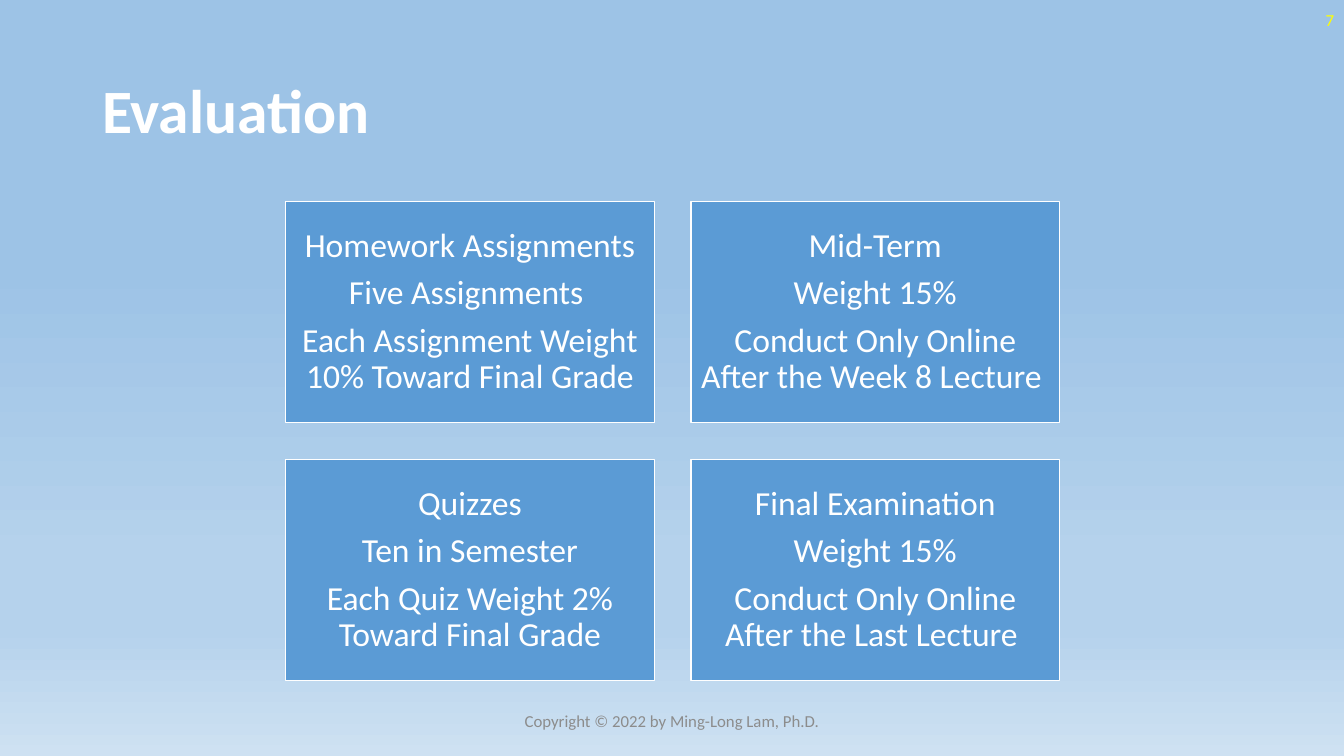
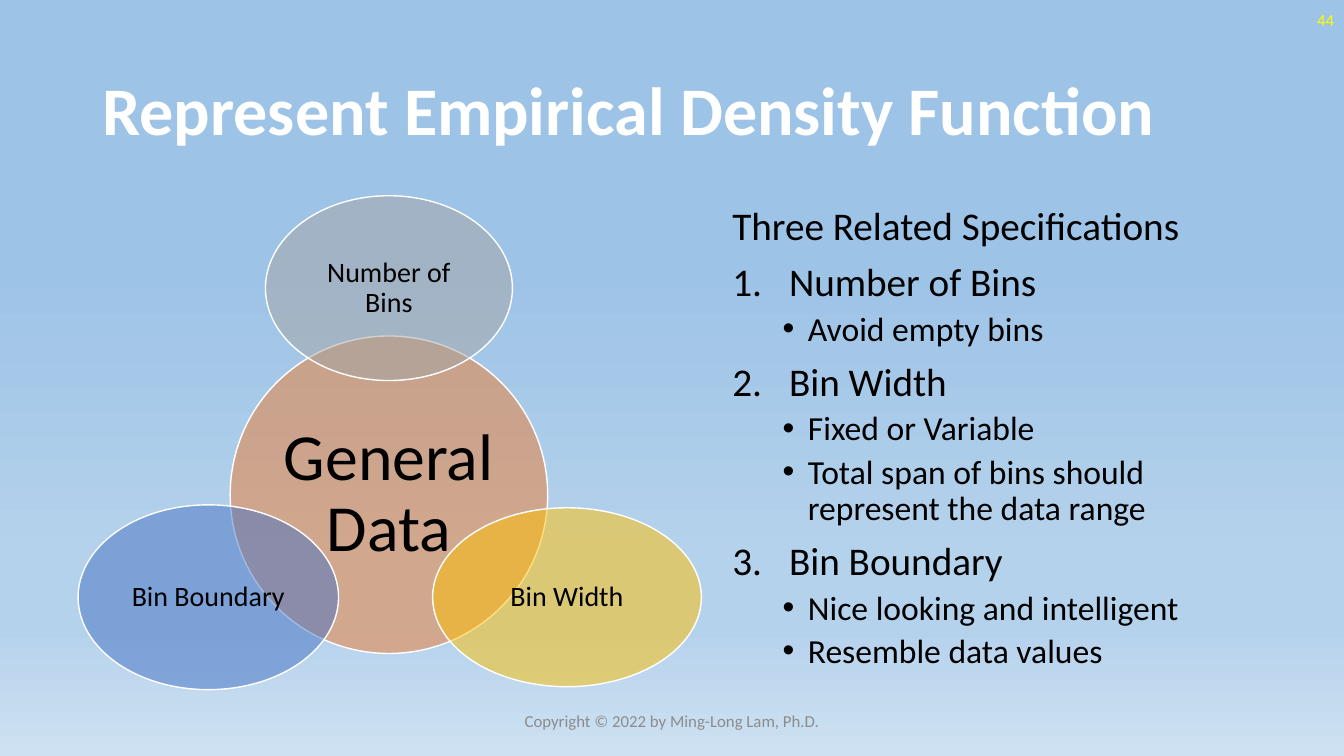
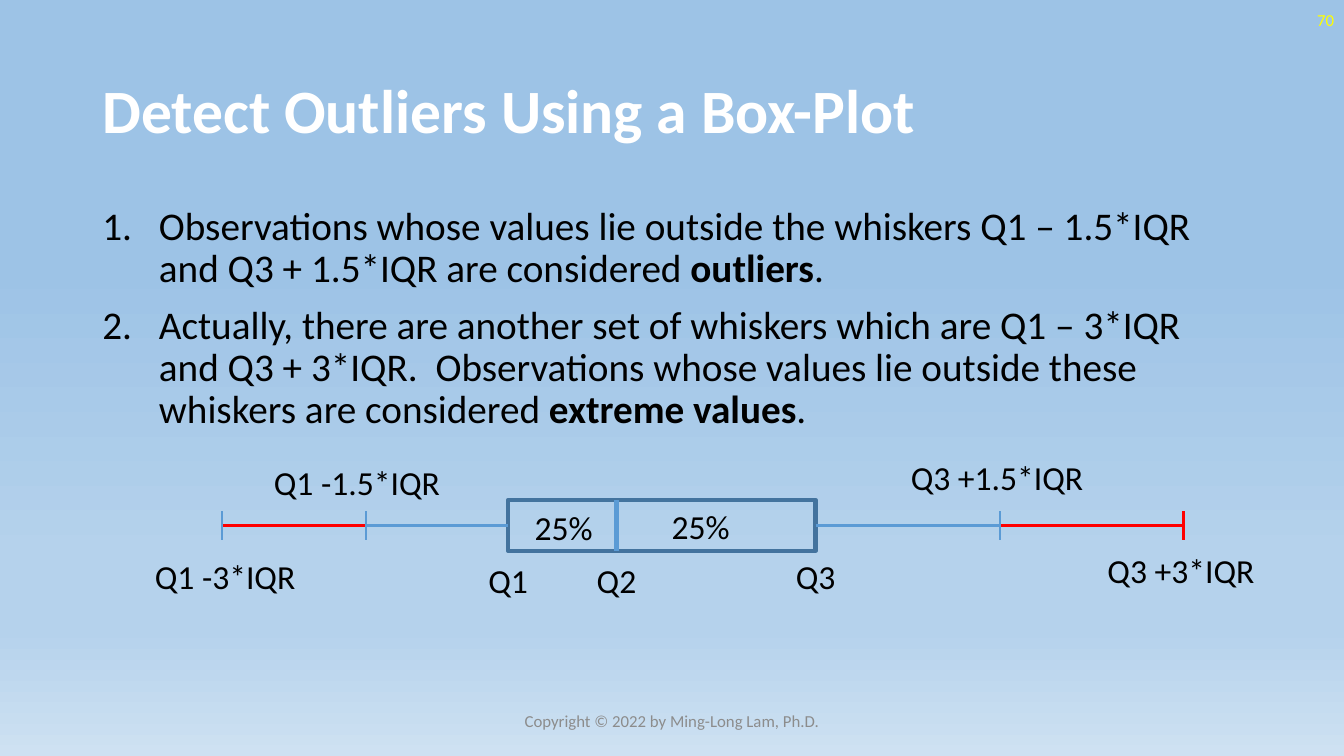
from lxml import etree
from pptx import Presentation
from pptx.dml.color import RGBColor
from pptx.enum.shapes import MSO_CONNECTOR, MSO_SHAPE
from pptx.enum.text import MSO_ANCHOR, PP_ALIGN
from pptx.oxml.ns import qn
from pptx.util import Pt

LEFT, CENTER, RIGHT = PP_ALIGN.LEFT, PP_ALIGN.CENTER, PP_ALIGN.RIGHT
TOP, MIDDLE = MSO_ANCHOR.TOP, MSO_ANCHOR.MIDDLE
RECTANGLE, OVAL = MSO_SHAPE.RECTANGLE, MSO_SHAPE.OVAL
STRAIGHT = MSO_CONNECTOR.STRAIGHT

COLUMNS, ROWS = 160, 90
CELL = 76200
FONT = "Calibri"
COLORS = {
    "white": "FFFFFF", "black": "000000", "yellow": "FFFF00", "gray": "8C8C8C",
    "blue": "5B9BD5", "edge": "43739E", "red": "FF0000", "orange": "ED7D31",
    "silver": "A5A5A5", "gold": "FFC000", "royal": "4472C4",
}
SKY = [(35, "9DC3E6"), (74, "B5D2EC"), (83, "B5D2EC"), (100, "CEE1F2")]


def write(slide, area, paragraphs, size, color="black", align=LEFT, anchor=TOP,
          bold=False, kind=None, inset=None, spacing=1, after=0):
    area = [round(cells * CELL) for cells in area]
    if kind is None:
        holder = slide.shapes.add_textbox(*area)
    else:
        holder = slide.shapes.add_shape(kind, *area)
        holder.shadow.inherit = False
        holder.line.color.rgb = RGBColor.from_string(COLORS["white"])
        holder.line.width = Pt(1)
    frame = holder.text_frame
    frame.word_wrap = True
    frame.vertical_anchor = anchor
    if inset is not None:
        frame.margin_left = frame.margin_right = round(inset * CELL)
        frame.margin_top = frame.margin_bottom = round(inset * CELL)
    for index, runs in enumerate(paragraphs):
        paragraph = frame.add_paragraph() if index else frame.paragraphs[0]
        paragraph.alignment = align
        paragraph.line_spacing = spacing
        paragraph.space_after = Pt(after)
        for position, words in enumerate([runs] if isinstance(runs, str) else runs):
            run = paragraph.add_run()
            run.text = words
            run.font.name = FONT
            run.font.size = Pt(size)
            run.font.bold = bold or position == 1
            run.font.color.rgb = RGBColor.from_string(COLORS[color])
    return holder


def indent(paragraph, level):
    margin, hanging, before, size = [(6.75, 6.75, 10, 28), (9, 3, 5, 24)][level]
    paragraph.level = level
    paragraph.space_before = Pt(before)
    for run in paragraph.runs:
        run.font.size = Pt(size)
    properties = paragraph._p.get_or_add_pPr()
    properties.set("marL", str(round(margin * CELL)))
    properties.set("indent", str(round(-hanging * CELL)))
    if level:
        etree.SubElement(properties, qn("a:buFont"), typeface="Arial")
        etree.SubElement(properties, qn("a:buChar"), char="•")
    else:
        etree.SubElement(properties, qn("a:buFont"), typeface="+mj-lt")
        etree.SubElement(properties, qn("a:buAutoNum"), type="arabicPeriod")


deck = Presentation()
deck.slide_width, deck.slide_height = COLUMNS * CELL, ROWS * CELL

sky = deck.slide_master.background.fill
sky.gradient()
sky.gradient_angle = 270
stops = sky.gradient_stops[0]._gs.getparent()
for stop in list(stops):
    stops.remove(stop)
for percent, tint in SKY:
    stop = etree.SubElement(stops, qn("a:gs"), pos=str(percent * 1000))
    etree.SubElement(stop, qn("a:srgbClr"), val=tint)

slides = []
for title, size, number in [
    ("Evaluation", 44, "7"),
    ("Represent Empirical Density Function", 48.6, "44"),
    ("Detect Outliers Using a Box-Plot", 44, "70"),
]:
    slide = deck.slides.add_slide(deck.slide_layouts[6])
    write(slide, (11, 4.8, 138, 17.4), [title], size, "white",
          anchor=MIDDLE, bold=True, spacing=0.9)
    write(slide, (124, 0, 36, 4.8), [number], 12, "yellow", RIGHT, MIDDLE)
    write(slide, (53, 83.4, 54, 4.8), ["Copyright © 2022 by Ming-Long Lam, Ph.D."],
          12, "gray", CENTER, MIDDLE)
    slides.append(slide)
evaluation, density, outliers = slides

gradings = [
    ["Homework Assignments", "Five Assignments ",
     "Each Assignment Weight 10% Toward Final Grade"],
    ["Mid-Term", "Weight 15%", "Conduct Only Online After the Week 8 Lecture "],
    ["Quizzes", "Ten in Semester", "Each Quiz Weight 2% Toward Final Grade"],
    ["Final Examination", "Weight 15%", "Conduct Only Online After the Last Lecture "],
]
for index, grading in enumerate(gradings):
    row, column = divmod(index, 2)
    card = write(evaluation, (34 + column * 48.25, 24 + row * 30.7, 43.9, 26.3), grading,
                 24, "white", CENTER, MIDDLE, kind=RECTANGLE, inset=1.2, spacing=0.9, after=8)
    card.fill.solid()
    card.fill.fore_color.rgb = RGBColor.from_string(COLORS["blue"])

for topic, x, y, width, height, color, size, inset in [
    ("General Data", 46.3, 58.9, 37.8, 37.8, "orange", 47, 0.84),
    ("Number of Bins", 46.3, 34.3, 29.4, 22, "silver", 20, 0.36),
    ("Bin Width", 67.5, 71.1, 32, 21.3, "gold", 20, 0.36),
    ("Bin Boundary", 24.8, 71.1, 31, 22, "royal", 20, 0.36),
]:
    circle = write(density, (x - width / 2, y - height / 2, width, height), [topic], size,
                   align=CENTER, anchor=MIDDLE, kind=OVAL, inset=inset, spacing=0.9)
    circle.fill.solid()
    circle.fill.fore_color.rgb = RGBColor.from_string(COLORS[color])
    tint = circle.fill._xPr.find(qn("a:solidFill"))[0]
    etree.SubElement(tint, qn("a:alpha"), val="50000")

outline = [
    (0, "Number of Bins"), (1, "Avoid empty bins"),
    (0, "Bin Width"), (1, "Fixed or Variable"),
    (1, "Total span of bins should represent the data range"),
    (0, "Bin Boundary"), (1, "Nice looking and intelligent"), (1, "Resemble data values"),
]
specifications = write(density, (86, 24, 63, 57),
                       ["Three Related Specifications"] + [words for _, words in outline],
                       28, spacing=0.9)
heading, *items = specifications.text_frame.paragraphs
heading.space_before = Pt(10)
for (level, _), item in zip(outline, items):
    indent(item, level)

rules = write(outliers, (11, 24, 138, 57), [
    ["Observations whose values lie outside the whiskers Q1 – 1.5*IQR and "
     "Q3 + 1.5*IQR are considered ", "outliers", "."],
    ["Actually, there are another set of whiskers which are Q1 – 3*IQR and "
     "Q3 + 3*IQR.  Observations whose values lie outside these whiskers are considered ",
     "extreme values", "."],
], 28, spacing=0.9)
for rule in rules.text_frame.paragraphs:
    indent(rule, 0)

far_low, low, q1, q2, q3, high, far_high = 26.4, 43.6, 60.5, 73.4, 97.1, 119, 140.9
box_top, box_bottom = 59.5, 65.6
axis = (box_top + box_bottom) / 2
tick_top, tick_bottom = axis - 1.7, axis + 1.7

quartiles = write(outliers, (q1, box_top, q3 - q1, box_bottom - box_top), [], 24,
                  kind=RECTANGLE)
quartiles.fill.background()
quartiles.line.color.rgb = RGBColor.from_string(COLORS["edge"])
quartiles.line.width = Pt(3)

for x1, y1, x2, y2, color, weight in [
    (q2, box_top, q2, box_bottom, "blue", 3),
    (q3, axis, high, axis, "blue", 2.25),
    (low, axis, q1, axis, "blue", 2.25),
    (high, axis, far_high, axis, "red", 2.25),
    (far_low, axis, low, axis, "red", 2.25),
    (low, tick_top, low, tick_bottom, "blue", 1.5),
    (high, tick_top, high, tick_bottom, "blue", 1.5),
    (far_high, tick_top, far_high, tick_bottom, "red", 1.5),
    (far_low, tick_top, far_low, tick_bottom, "blue", 1.5),
]:
    ends = [round(cells * CELL) for cells in (x1, y1, x2, y2)]
    whisker = outliers.shapes.add_connector(STRAIGHT, *ends)
    whisker.line.color.rgb = RGBColor.from_string(COLORS[color])
    whisker.line.width = Pt(weight)
    etree.SubElement(whisker._element.spPr, qn("a:effectLst"))

for label, center, top, width in [
    ("Q1", q1, 66.1, 8), ("Q2", q2, 66.1, 8), ("Q3", q3, 65.6, 8),
    ("25%", 67.1, 59.8, 10.8), ("25%", 83.4, 59.6, 10.8),
    ("Q1 -1.5*IQR", 42.5, 54.4, 25.2), ("Q3 +1.5*IQR", 118.7, 53.8, 25.2),
    ("Q1 -3*IQR", 26.8, 65.6, 25.2), ("Q3 +3*IQR", 140.6, 64.9, 25.2),
]:
    write(outliers, (center - width / 2, top, width, 6), [label], 24, align=CENTER)

deck.save("out.pptx")
